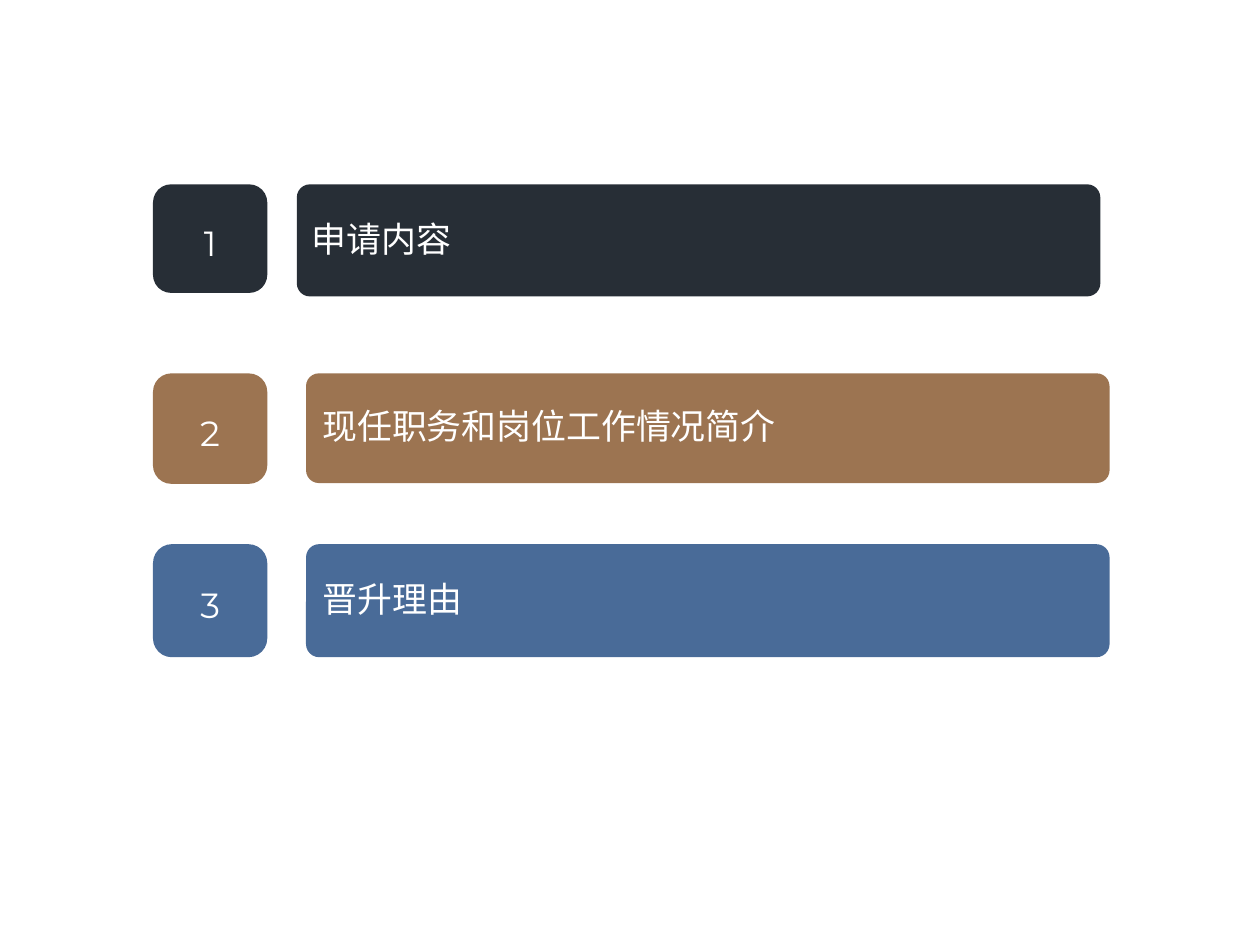
from dataclasses import dataclass

from pptx import Presentation
from pptx.dml.color import RGBColor
from pptx.enum.shapes import MSO_SHAPE
from pptx.enum.text import MSO_ANCHOR, PP_ALIGN
from pptx.slide import Slide
from pptx.util import Pt

WHITE = RGBColor(0xFF, 0xFF, 0xFF)
DARK = RGBColor(0x27, 0x2E, 0x36)
BROWN = RGBColor(0x9C, 0x74, 0x51)
BLUE = RGBColor(0x49, 0x6B, 0x98)


@dataclass(frozen=True)
class Style:
    width: float
    round: float
    font: str
    align: PP_ALIGN
    space: float


@dataclass(frozen=True)
class Row:
    label: str
    color: RGBColor
    top: float
    left: float
    bar_high: float
    tag_high: float
    pad_x: float
    pad_y: float


TAG_LEFT = 96.4
BAR = Style(506.2, 0.117, "Arial", PP_ALIGN.LEFT, 0.93)
TAG = Style(72, 0.167, "Montserrat", PP_ALIGN.CENTER, 1.18)

ROWS = [
    Row("申请内容", DARK, 116.1, 187, 70.6, 68.4, 7.2, 3.6),
    Row("现任职务和岗位工作情况简介", BROWN, 235.2, 192.8, 69.1, 69.6, 7.9, 4.3),
    Row("晋升理由", BLUE, 342.8, 192.8, 71.2, 71.2, 7.9, 4.3),
]


def add_box(slide: Slide, row: Row, style: Style, text: str,
            left: float, high: float) -> None:
    box = slide.shapes.add_shape(
        MSO_SHAPE.ROUNDED_RECTANGLE,
        Pt(left), Pt(row.top), Pt(style.width), Pt(high))
    box.adjustments[0] = style.round
    box.shadow.inherit = False
    box.fill.solid()
    box.fill.fore_color.rgb = row.color
    box.line.fill.background()

    # Text inside the box
    frame = box.text_frame
    frame.text = text
    frame.word_wrap = True
    frame.vertical_anchor = MSO_ANCHOR.MIDDLE
    frame.margin_left = frame.margin_right = Pt(row.pad_x)
    frame.margin_top = frame.margin_bottom = Pt(row.pad_y)
    para = frame.paragraphs[0]
    para.alignment = style.align
    para.line_spacing = style.space
    font = para.runs[0].font
    font.name = style.font
    font.size = Pt(22)
    font.color.rgb = WHITE


# Slide
deck = Presentation()
deck.slide_width, deck.slide_height = Pt(793.75), Pt(595.25)
slide = deck.slides.add_slide(deck.slide_layouts[6])

# Topic bars
for row in ROWS:
    add_box(slide, row, BAR, row.label, row.left, row.bar_high)

# Number tags
for num, row in enumerate(ROWS, start=1):
    add_box(slide, row, TAG, str(num), TAG_LEFT, row.tag_high)

deck.save("out.pptx")
